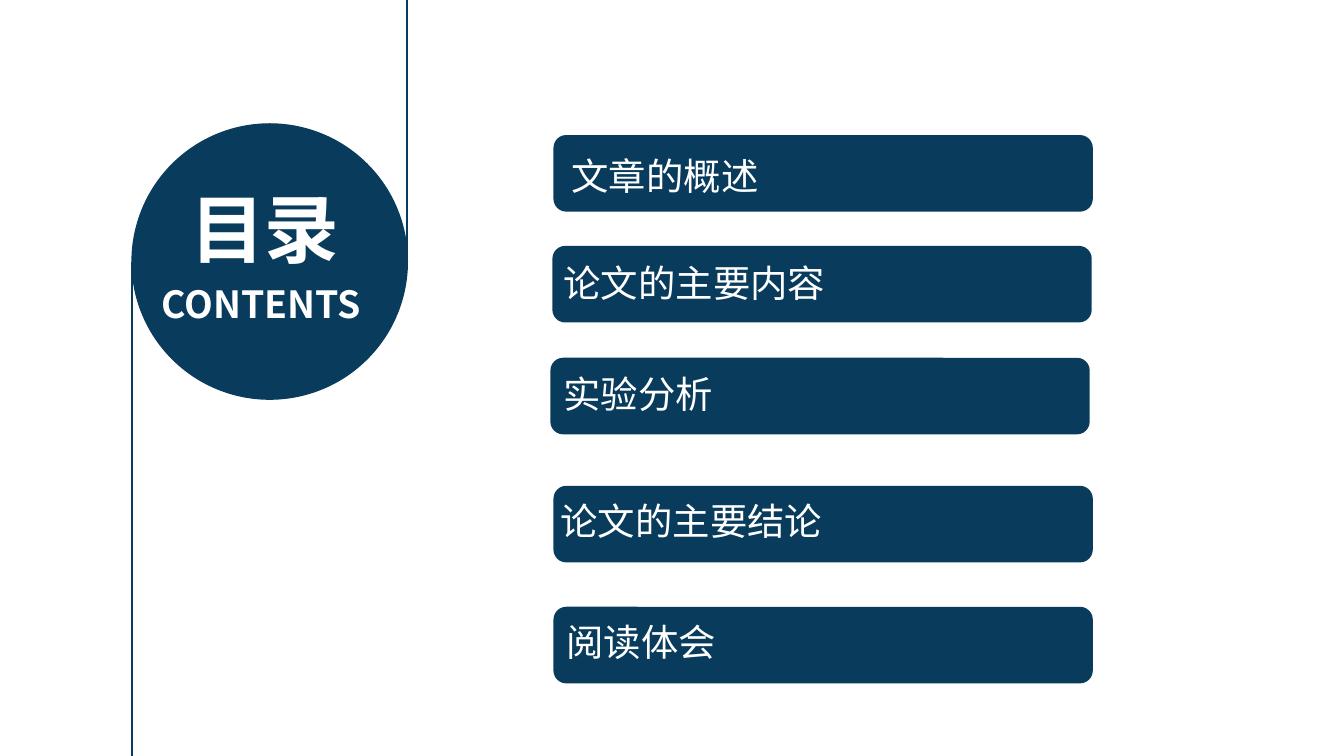
from dataclasses import dataclass

from lxml import etree
from pptx import Presentation
from pptx import util as u
from pptx.dml.color import RGBColor
from pptx.enum import shapes, text
from pptx.oxml.ns import qn

WIDE, HIGH = u.Inches(13.33), u.Inches(7.5)


@dataclass(frozen=True)
class Theme:
    navy: RGBColor = RGBColor(0x09, 0x3B, 0x5C)
    white: RGBColor = RGBColor(0xFF, 0xFF, 0xFF)
    font: str = "Noto Sans CJK SC"
    title: float = 53.3
    body: float = 26.7
    ring: float = 1
    rule: float = 1.5


THEME = Theme()

# Label, bar left, bar top, label left, label top (percent of the slide)
TOPICS = [
    ("文章的概述", 41.18, 17.87, 41.78, 19.6),
    ("论文的主要内容", 41.1, 32.53, 41.18, 33.73),
    ("实验分析", 40.95, 47.33, 41.18, 48.4),
    ("论文的主要结论", 41.18, 64.27, 40.95, 65.2),
    ("阅读体会", 41.18, 80.27, 41.4, 81.2),
]
BAR = (40.13, 10.13)
DISC = (9.83, 16.4, 20.48, 36.4)


def px(share):
    return int(WIDE * share / 100)


def py(share):
    return int(HIGH * share / 100)


def place(left, top, width, height):
    return px(left), py(top), px(width), py(height)


def block(slide, kind, box, solid=True):
    """Draw a navy shape, either filled or outlined."""
    shape = slide.shapes.add_shape(kind, *place(*box))
    shape.shadow.inherit = False
    if solid:
        shape.fill.solid()
        shape.fill.fore_color.rgb = THEME.navy
        shape.line.fill.background()
    else:
        shape.fill.background()
        shape.line.color.rgb = THEME.navy
        shape.line.width = u.Pt(THEME.ring)


def rule(slide, left, top, end):
    """Draw a vertical line."""
    line = slide.shapes.add_connector(
        shapes.MSO_CONNECTOR.STRAIGHT, px(left), py(top), px(left), py(end))
    line.line.color.rgb = THEME.navy
    line.line.width = u.Pt(THEME.rule)
    etree.SubElement(line._element.spPr, qn("a:effectLst"))


def label(slide, words, box, size, bold=False):
    """Add one line of white text."""
    frame = slide.shapes.add_textbox(*place(*box)).text_frame
    frame.word_wrap = False
    frame.auto_size = text.MSO_AUTO_SIZE.SHAPE_TO_FIT_TEXT
    run = frame.paragraphs[0].add_run()
    run.text = words
    run.font.name = THEME.font
    run.font.size = u.Pt(size)
    run.font.bold = bold
    run.font.color.rgb = THEME.white
    # East Asian glyphs need their own typeface entry
    face = etree.SubElement(run.font._element, qn("a:ea"))
    face.set("typeface", THEME.font)


def badge(slide):
    """Draw the title disc with its two lines."""
    left, top, width, height = DISC
    mid = top + height / 2
    oval = shapes.MSO_SHAPE.OVAL
    block(slide, oval, DISC, solid=False)
    rule(slide, left + width, 0, mid)
    rule(slide, left, mid, 100)
    block(slide, oval, DISC)
    label(slide, "目录", (13.43, 23.47, 12.75, 13.33), THEME.title, True)
    label(slide, "CONTENTS", (11.25, 36.53, 17.25, 7.33), THEME.body, True)


def topic(slide, words, left, top, x, y):
    """Draw one bar and its label, as wide as its characters."""
    block(slide, shapes.MSO_SHAPE.ROUNDED_RECTANGLE, (left, top, *BAR))
    label(slide, words, (x, y, 2.8 * len(words) + 1.55, 7.33), THEME.body)


def main():
    deck = Presentation()
    deck.slide_width, deck.slide_height = WIDE, HIGH
    slide = deck.slides.add_slide(deck.slide_layouts[6])

    # Title side
    badge(slide)

    # List of topics
    for item in TOPICS:
        topic(slide, *item)

    deck.save("out.pptx")


if __name__ == "__main__":
    main()
